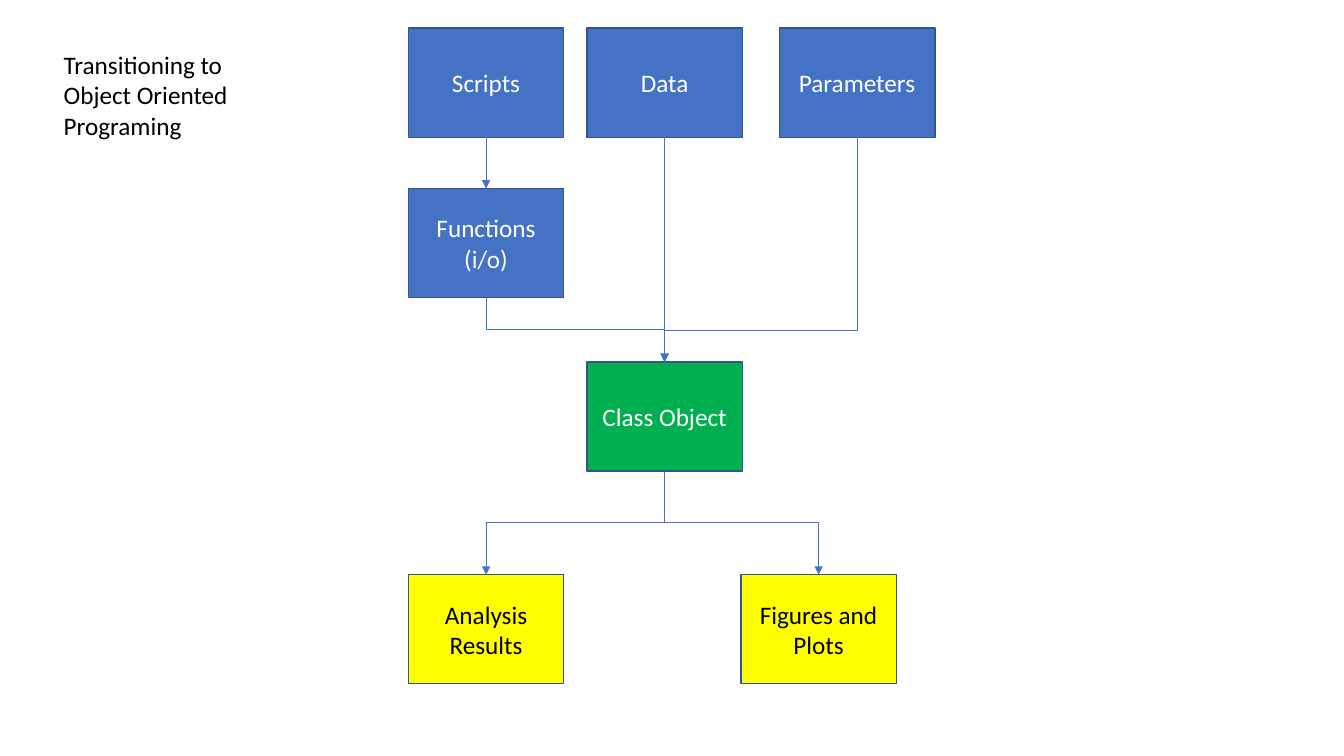
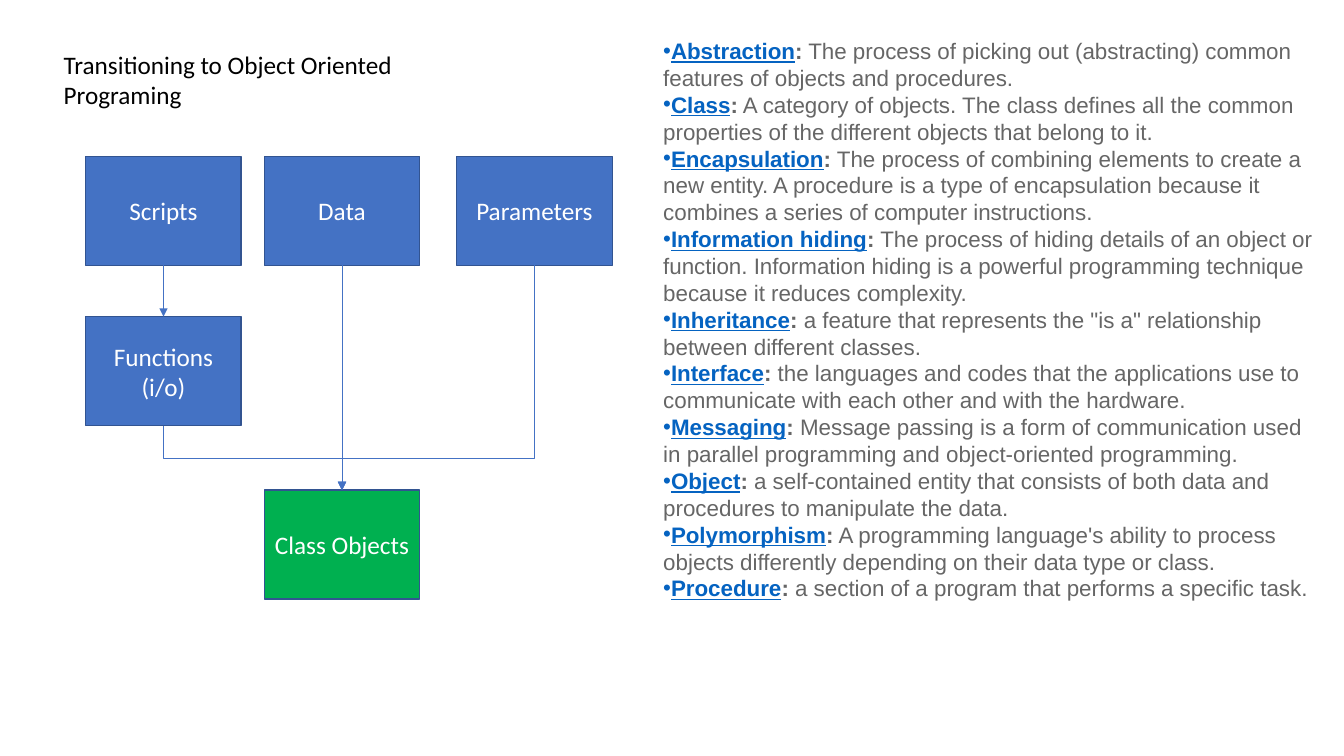
from lxml import etree
from pptx import Presentation
from pptx.dml.color import RGBColor
from pptx.enum.shapes import MSO_CONNECTOR, MSO_SHAPE
from pptx.enum.text import MSO_ANCHOR, MSO_AUTO_SIZE, PP_ALIGN
from pptx.oxml.ns import qn
from pptx.util import Cm, Pt

STRAIGHT, ELBOW = MSO_CONNECTOR.STRAIGHT, MSO_CONNECTOR.ELBOW
RECTANGLE = MSO_SHAPE.RECTANGLE
TOP, MIDDLE = MSO_ANCHOR.TOP, MSO_ANCHOR.MIDDLE
LEFT, CENTER = PP_ALIGN.LEFT, PP_ALIGN.CENTER
NO_FIT = MSO_AUTO_SIZE.NONE
TOP_SIDE, BOTTOM_SIDE = 0, 2
TITLE_ONLY, TITLE_AND_BODY = 5, 1

COLORS = {
    "input": "4472C4",
    "class": "00B050",
    "output": "FFFF00",
    "outline": "325491",
    "arrow": "4472C4",
    "light": "FFFFFF",
    "dark": "000000",
    "term": "0563C1",
    "meaning": "666666",
}
LABEL = {"name": "Calibri", "size": Pt(18), "bold": False}
TERM = {"name": "Arial", "size": Pt(16), "bold": True, "underline": True}
COLON = {**TERM, "underline": False}
MEANING = {**COLON, "bold": False}
FRAME = {"word_wrap": True, "auto_size": NO_FIT}
FLUSH = {"alignment": LEFT, "space_before": Pt(0), "line_spacing": 1.0}

BOX_WIDTH, BOX_HEIGHT = 3.92, 2.75
COLUMNS = (0, 4.5, 9.35)
INPUT_ROW, FUNCTION_ROW, CLASS_ROW, OUTPUT_ROW = 0, 4.04, 8.41, 13.77
FIGURES_COLUMN = 8.38
MERGE_AT = 0.86

TITLE = "Transitioning to Object Oriented Programing"
GLOSSARY = {
    "Abstraction": "The process of picking out (abstracting) common features of objects and procedures.",
    "Class": "A category of objects. The class defines all the common properties of the different "
             "objects that belong to it.",
    "Encapsulation": "The process of combining elements to create a new entity. A procedure is a type of "
                     "encapsulation because it combines a series of computer instructions.",
    "Information hiding": "The process of hiding details of an object or function. Information hiding is a "
                          "powerful programming technique because it reduces complexity.",
    "Inheritance": "a feature that represents the \"is a\" relationship between different classes.",
    "Interface": "the languages and codes that the applications use to communicate with each other "
                 "and with the hardware.",
    "Messaging": "Message passing is a form of communication used in parallel programming and "
                 "object-oriented programming.",
    "Object": "a self-contained entity that consists of both data and procedures to manipulate the data.",
    "Polymorphism": "A programming language's ability to process objects differently depending on their "
                    "data type or class.",
    "Procedure": "a section of a program that performs a specific task.",
}


def color(name):
    return RGBColor.from_string(COLORS[name])


def assign(target, values):
    for attribute, value in values.items():
        setattr(target, attribute, value)


class Deck:
    def __init__(self):
        self.presentation = Presentation()
        self.presentation.slide_width = Cm(33.87)
        self.presentation.slide_height = Cm(19.05)
        self.slide = None
        self.origin = (0, 0)

    def add_slide(self, layout, origin):
        layouts = self.presentation.slide_layouts
        self.slide = self.presentation.slides.add_slide(layouts[layout])
        self.origin = origin

    def style(self, font, values, color_name):
        assign(font, values)
        font.color.rgb = color(color_name)

    def place(self, placeholder, left, top, width, height):
        assign(placeholder, {"left": Cm(left), "top": Cm(top),
                             "width": Cm(width), "height": Cm(height)})
        assign(placeholder.text_frame, {**FRAME, "vertical_anchor": TOP})
        return placeholder.text_frame

    def title(self, width, height):
        frame = self.place(self.slide.shapes.title, 1.35, 1.12, width, height)
        frame.text = TITLE
        heading = frame.paragraphs[0]
        assign(heading, FLUSH)
        self.style(heading.runs[0].font, LABEL, "dark")

    def glossary(self, entries):
        frame = self.place(self.slide.placeholders[1], 16.46, 0.81, 17.07, 14.63)
        for number, (term, meaning) in enumerate(entries.items()):
            entry = frame.add_paragraph() if number else frame.paragraphs[0]
            assign(entry, FLUSH)
            properties = entry._p.get_or_add_pPr()
            for indent in ("marL", "indent"):
                properties.set(indent, "0")
            for text, values, color_name in ((term, TERM, "term"),
                                             (":", COLON, "meaning"),
                                             (f" {meaning}", MEANING, "meaning")):
                run = entry.add_run()
                run.text = text
                self.style(run.font, values, color_name)

    def box(self, text, column, row, fill="input", ink="light"):
        left, top = self.origin
        box = self.slide.shapes.add_shape(
            RECTANGLE, Cm(left + column), Cm(top + row), Cm(BOX_WIDTH), Cm(BOX_HEIGHT))
        box.shadow.inherit = False
        box.fill.solid()
        box.fill.fore_color.rgb = color(fill)
        box.line.color.rgb = color("outline")
        box.line.width = Pt(1)
        box.text_frame.text = text
        assign(box.text_frame, {**FRAME, "vertical_anchor": MIDDLE})
        for paragraph in box.text_frame.paragraphs:
            paragraph.alignment = CENTER
            self.style(paragraph.runs[0].font, LABEL, ink)
        return box

    def arrow(self, source, target, bend=0.5):
        start_x = source.left + source.width // 2
        end_x = target.left + target.width // 2
        start_y, end_y = source.top + source.height, target.top
        run, drop = end_x - start_x, end_y - start_y
        arrow = self.slide.shapes.add_connector(
            ELBOW if run else STRAIGHT, start_x, start_y, end_x, end_y)
        arrow.begin_connect(source, BOTTOM_SIDE)
        arrow.end_connect(target, TOP_SIDE)
        properties = arrow._element.spPr
        if run:
            assign(arrow, {"left": (start_x + end_x - drop) // 2,
                           "top": (start_y + end_y - abs(run)) // 2,
                           "width": drop, "height": abs(run)})
            turn = {"rot": "16200000" if run > 0 else "5400000",
                    "flipH": "1" if run > 0 else "0", "flipV": "0"}
            for attribute, value in turn.items():
                properties.find(qn("a:xfrm")).set(attribute, value)
            geometry = properties.find(qn("a:prstGeom"))
            adjustments = geometry.find(qn("a:avLst"))
            if adjustments is None:
                adjustments = etree.SubElement(geometry, qn("a:avLst"))
            etree.SubElement(adjustments, qn("a:gd"), name="adj1",
                             fmla=f"val {round(bend * 100000)}")
        arrow.line.width = Pt(0.5)
        arrow.line.color.rgb = color("arrow")
        etree.SubElement(properties.find(qn("a:ln")), qn("a:tailEnd"), type="triangle")
        etree.SubElement(properties, qn("a:effectLst"))

    def class_flow(self, class_label):
        scripts, data, parameters = (
            self.box(text, column, INPUT_ROW)
            for text, column in zip(("Scripts", "Data", "Parameters"), COLUMNS))
        functions = self.box("Functions\n(i/o)", COLUMNS[0], FUNCTION_ROW)
        class_box = self.box(class_label, COLUMNS[1], CLASS_ROW, "class")
        self.arrow(scripts, functions)
        self.arrow(functions, class_box)
        self.arrow(data, class_box)
        self.arrow(parameters, class_box, MERGE_AT)
        return class_box


def main():
    deck = Deck()

    deck.add_slide(TITLE_ONLY, (10.29, 0.71))
    deck.title(5.64, 2.57)
    class_object = deck.class_flow("Class Object")
    for text, column in (("Analysis Results", COLUMNS[0]), ("Figures and Plots", FIGURES_COLUMN)):
        deck.arrow(class_object, deck.box(text, column, OUTPUT_ROW, "output", "dark"))

    deck.add_slide(TITLE_AND_BODY, (2.16, 3.94))
    deck.title(9.7, 1.8)
    deck.class_flow("Class Objects")
    deck.glossary(GLOSSARY)

    deck.presentation.save("out.pptx")


if __name__ == "__main__":
    main()
